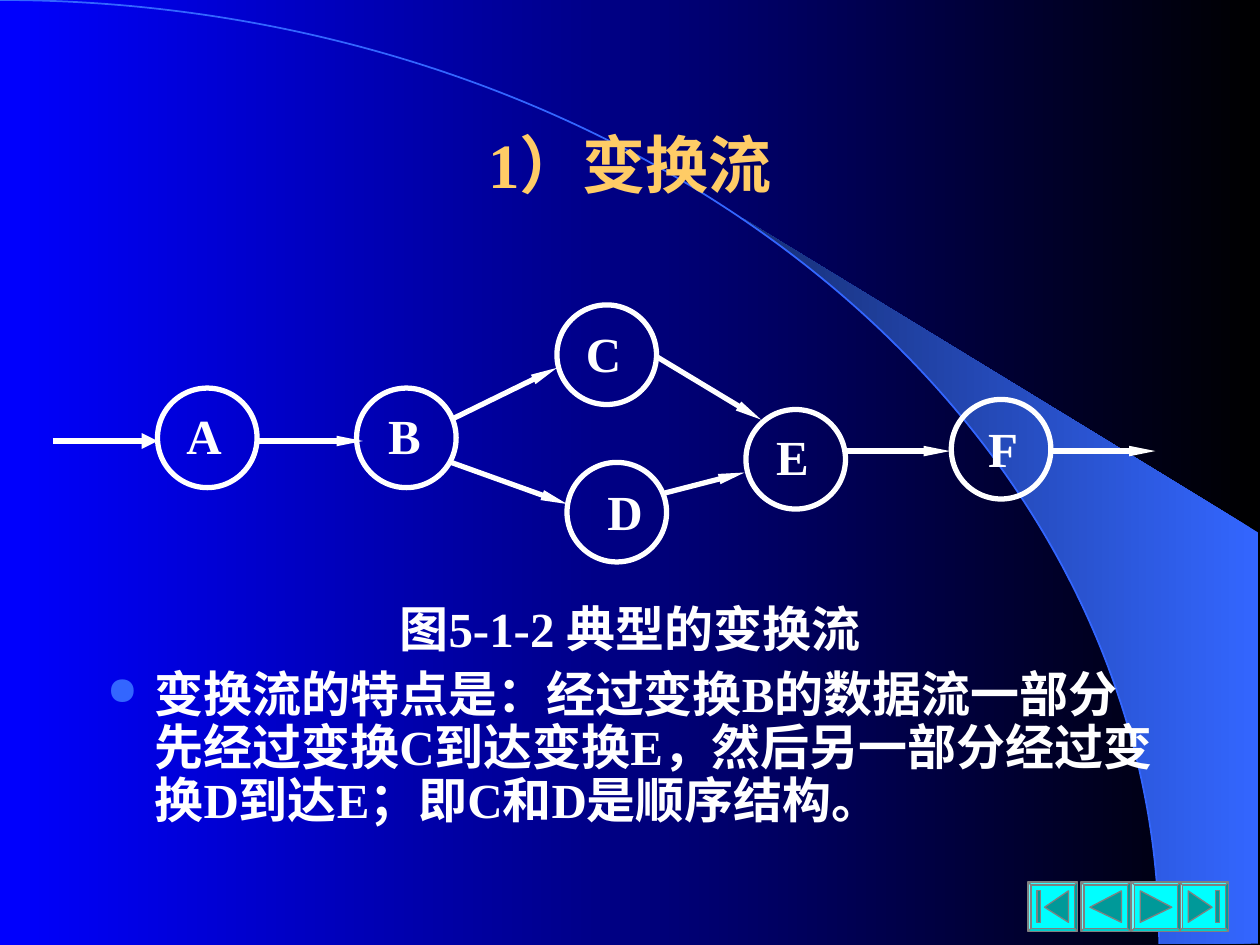
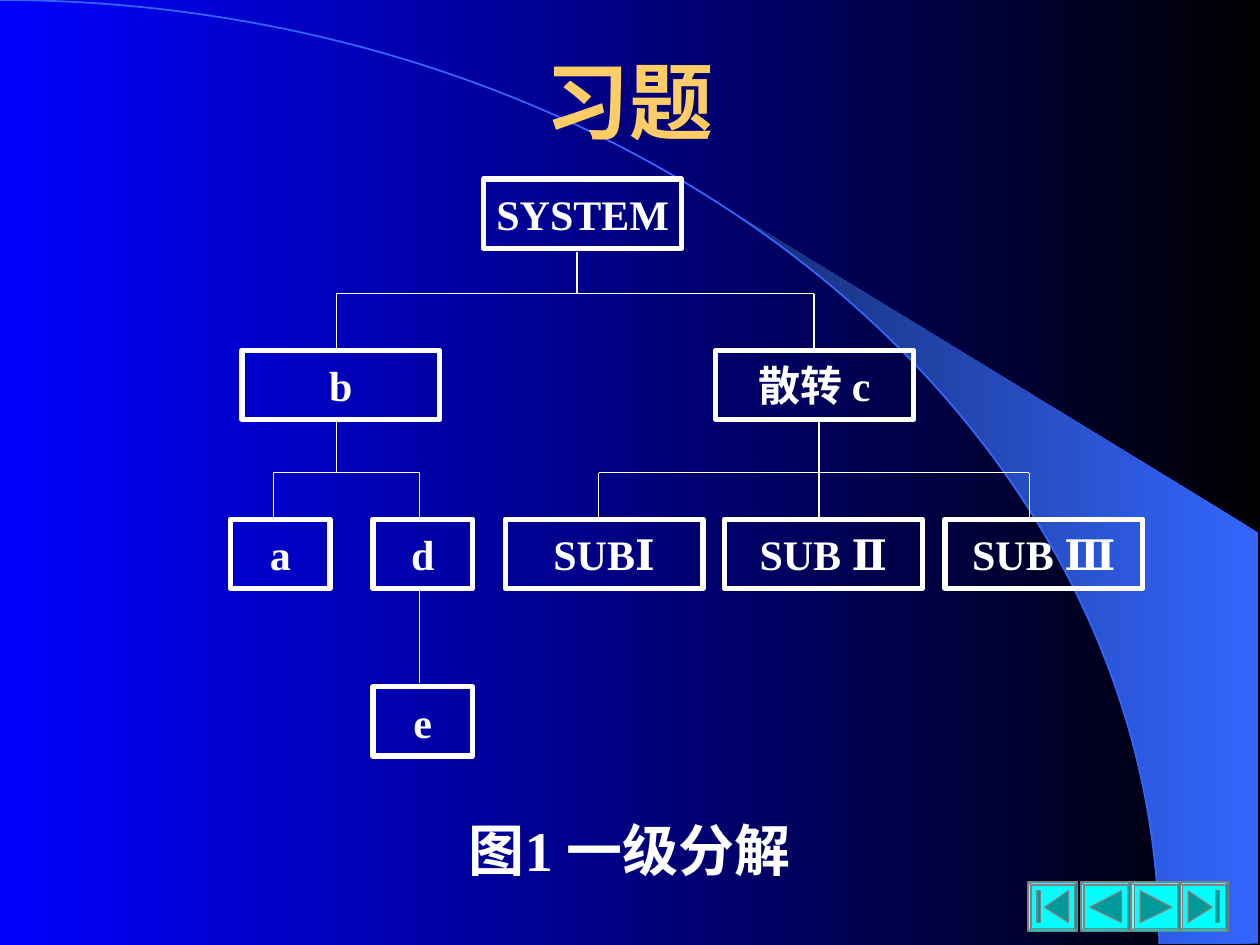
import math
from dataclasses import dataclass

from lxml import etree
from pptx import Presentation
from pptx.dml.color import RGBColor
from pptx.enum import shapes, text
from pptx.oxml.ns import qn
from pptx.util import Inches, Pt


@dataclass(frozen=True)
class Theme:
    night: str = "000000"
    blue: str = "0000FF"
    accent: str = "3366FF"
    accent_dark: str = "172F75"
    gold: str = "FFCC66"
    white: str = "FFFFFF"
    cyan: str = "00FFFF"
    teal: str = "009999"
    grey: str = "808080"
    serif: str = "Times New Roman"
    sans: str = "Arial"
    title_size: int = 36
    big_title_size: int = 48
    body_size: int = 28
    caption_size: int = 32
    node_size: int = 24
    thick: float = 3
    thin: float = 0.75


THEME = Theme()
ARC_WIDTH, ARC_HEIGHT = 9.2, 7.49
BUTTON_SIZE, BUTTON_TOP = 0.39, 7
CIRCLE_SIZE = 0.79
BOX_HEIGHT = 0.55
WIDE, NARROW = 1.57, 0.79


def rgb(color):
    return RGBColor.from_string(color)


def inches(values):
    return [Inches(value) for value in values]


def set_gradient(fill, first, last):
    fill.gradient()
    fill.gradient_angle = 180
    for stop, color in zip(fill.gradient_stops, (first, last)):
        stop.color.rgb = rgb(color)


def style_shape(shape, fill=None, line=None, width=THEME.thick):
    """Give a shape a plain fill and outline; None means there is none."""
    shape.shadow.inherit = False
    if fill:
        shape.fill.solid()
        shape.fill.fore_color.rgb = rgb(fill)
    else:
        shape.fill.background()
    if line:
        shape.line.color.rgb = rgb(line)
        shape.line.width = Pt(width)
    else:
        shape.line.fill.background()


def add_preset(slide, preset, box, **style):
    shape = slide.shapes.add_shape(preset, *inches(box))
    style_shape(shape, **style)
    return shape


def add_outline(slide, *contours):
    """Draw closed contours, given as points in inches, as one freeform."""
    builder = slide.shapes.build_freeform(*inches(contours[0][0]))
    for index, contour in enumerate(contours):
        if index:
            builder.move_to(*inches(contour[0]))
        builder.add_line_segments([inches(point) for point in contour[1:]], close=True)
    return builder.convert_to_shape()


def add_line(slide, start, end, width=THEME.thin, head=None):
    """head is the (width, length) of the arrowhead at the end."""
    line = slide.shapes.add_connector(
        shapes.MSO_CONNECTOR.STRAIGHT, *inches(start), *inches(end))
    line.line.color.rgb = rgb(THEME.white)
    line.line.width = Pt(width)
    properties = line._element.spPr
    if head:
        etree.SubElement(properties.find(qn("a:ln")), qn("a:tailEnd"),
                         type="triangle", w=head[0], len=head[1])
    etree.SubElement(properties, qn("a:effectLst"))


def write(paragraph, words, size, color=THEME.white, font=THEME.serif,
          align=text.PP_ALIGN.CENTER, **spacing):
    paragraph.alignment = align
    for name, value in spacing.items():
        setattr(paragraph, name, value)
    run = paragraph.add_run()
    run.text = words
    looks = {"size": Pt(size), "name": font, "bold": True}
    for name, value in looks.items():
        setattr(run.font, name, value)
    run.font.color.rgb = rgb(color)


def prepare_frame(shape, anchor=text.MSO_ANCHOR.MIDDLE, inset=(0, 0)):
    frame = shape.text_frame
    side, end = inches(inset)
    settings = {"word_wrap": True, "vertical_anchor": anchor,
                "margin_left": side, "margin_right": side,
                "margin_top": end, "margin_bottom": end}
    for name, value in settings.items():
        setattr(frame, name, value)
    return frame


def add_text_frame(slide, box, **layout):
    return prepare_frame(slide.shapes.add_textbox(*inches(box)), **layout)


def add_title(slide, words, top, size, font):
    frame = add_text_frame(slide, (0.75, top, 8.5, 1.25), inset=(0.1, 0.05))
    write(frame.paragraphs[0], words, size, THEME.gold, font)


def add_body(slide, top, height):
    return add_text_frame(slide, (0.75, top, 8.5, height),
                          anchor=text.MSO_ANCHOR.TOP, inset=(0.1, 0.05))


def add_bullet(paragraph):
    properties = paragraph._p.get_or_add_pPr()
    properties.set("marL", str(Inches(0.38)))
    properties.set("indent", str(-Inches(0.38)))
    color = etree.SubElement(properties, qn("a:buClr"))
    etree.SubElement(color, qn("a:srgbClr"), val=THEME.accent)
    etree.SubElement(properties, qn("a:buSzPct"), val="80000")
    etree.SubElement(properties, qn("a:buChar"), char="●")


def arc_point(degrees):
    angle = math.radians(degrees)
    return ARC_WIDTH * math.sin(angle), ARC_HEIGHT * (1 - math.cos(angle))


def add_backdrop(slide):
    """Shaded wedge at the right and the large arc that bounds it."""
    arc_edge = [arc_point(degrees) for degrees in range(40, 91, 2)]
    wedge = add_outline(slide, [(9.99, 7.49), (9.99, 4.23), (5.89, 1.73), *arc_edge])
    style_shape(wedge)
    set_gradient(wedge.fill, THEME.accent, THEME.accent_dark)
    add_preset(slide, shapes.MSO_SHAPE.ARC,
               (-ARC_WIDTH, 0, 2 * ARC_WIDTH, 2 * ARC_HEIGHT),
               line=THEME.accent, width=1)


def add_button(slide, left, forward, bar):
    """Bevelled button with a triangle, and a bar at the tip if wanted."""
    bevel = add_preset(slide, shapes.MSO_SHAPE.BEVEL,
                       (left, BUTTON_TOP, BUTTON_SIZE, BUTTON_SIZE),
                       fill=THEME.cyan, line=THEME.grey, width=THEME.thin)
    bevel.adjustments[0] = 0.06
    tip = 0.13 if bar else 0.07
    contours = [[(tip, 0.2), (0.32, 0.07), (0.32, 0.32)]]
    if bar:
        contours.append([(0.07, 0.07), (0.1, 0.07), (0.1, 0.32), (0.07, 0.32)])
    icon = add_outline(slide, *[
        [(left + (BUTTON_SIZE - x if forward else x), BUTTON_TOP + y) for x, y in contour]
        for contour in contours])
    style_shape(icon, fill=THEME.teal, line=THEME.grey, width=THEME.thin)


def add_navigation(slide):
    for left, forward, bar in ((8.16, False, True), (9.36, True, True),
                               (8.58, False, False), (8.98, True, False)):
        add_button(slide, left, forward, bar)


def add_base_slide(deck):
    slide = deck.slides.add_slide(deck.slide_layouts[6])
    add_backdrop(slide)
    return slide


def add_process(slide, letter, circle, label):
    """A circle and its letter, each placed by its left and top."""
    add_preset(slide, shapes.MSO_SHAPE.OVAL, (*circle, CIRCLE_SIZE, CIRCLE_SIZE),
               line=THEME.white)
    frame = add_text_frame(slide, (*label, 0.58, 0.47))
    write(frame.paragraphs[0], letter, THEME.body_size)


def add_module(slide, name, left, top, width):
    box = add_preset(slide, shapes.MSO_SHAPE.RECTANGLE, (left, top, width, BOX_HEIGHT),
                     line=THEME.white)
    write(prepare_frame(box).paragraphs[0], name, THEME.node_size)


def add_branch(slide, stem, children, top, bus, bottom):
    """Stem from a parent to a level line, and a drop to each child."""
    add_line(slide, (min(children), bus), (max(children), bus))
    add_line(slide, (stem, top), (stem, bus))
    for child in children:
        add_line(slide, (child, bus), (child, bottom))


def build_transform_flow(deck):
    slide = add_base_slide(deck)
    add_title(slide, "1）变换流", 0.67, THEME.title_size, THEME.serif)

    body = add_body(slide, 4.75, 1.92)
    spacing = {"line_spacing": 0.9, "space_before": Pt(7)}
    write(body.paragraphs[0], "图5-1-2 典型的变换流", THEME.body_size, **spacing)
    feature = body.add_paragraph()
    write(feature,
          "变换流的特点是：经过变换B的数据流一部分先经过变换C到达变换E，"
          "然后另一部分经过变换D到达E；即C和D是顺序结构。",
          THEME.body_size, align=text.PP_ALIGN.LEFT, **spacing)
    add_bullet(feature)
    add_navigation(slide)

    processes = {
        "A": ((1.25, 3.08), (1.33, 3.22)),
        "B": ((2.83, 3.08), (2.92, 3.22)),
        "C": ((4.42, 2.42), (4.5, 2.57)),
        "D": ((4.5, 3.67), (4.67, 3.82)),
        "E": ((5.92, 3.25), (6, 3.38)),
        "F": ((7.55, 3.17), (7.67, 3.32)),
    }
    for letter, (circle, label) in processes.items():
        add_process(slide, letter, circle, label)

    add_line(slide, (0.42, 3.5), (1.25, 3.5), THEME.thick, ("med", "med"))
    flows = (
        ((2.04, 3.5), (2.88, 3.5)),
        ((3.58, 3.33), (4.42, 2.92)),
        ((3.58, 3.67), (4.5, 4)),
        ((5.21, 2.83), (6.04, 3.33)),
        ((5.25, 3.92), (5.91, 3.75)),
        ((6.71, 3.58), (7.54, 3.58)),
        ((8.33, 3.58), (9.17, 3.58)),
    )
    for start, end in flows:
        add_line(slide, start, end, THEME.thick, ("sm", "lg"))


def build_exercise(deck):
    slide = add_base_slide(deck)
    add_title(slide, "习题", 0.17, THEME.big_title_size, THEME.sans)
    caption = add_body(slide, 6.42, 0.67)
    write(caption.paragraphs[0], "图1 一级分解", THEME.caption_size, space_before=Pt(8))
    add_navigation(slide)

    levels = {
        1.42: (("SYSTEM", 3.84, WIDE),),
        2.78: (("b", 1.92, WIDE), ("散转 c", 5.68, WIDE)),
        4.12: (("a", 1.83, NARROW), ("d", 2.96, NARROW), ("SUBⅠ", 4.01, WIDE),
               ("SUB Ⅱ", 5.75, WIDE), ("SUB Ⅲ", 7.5, WIDE)),
        5.45: (("e", 2.96, NARROW),),
    }
    for top, modules in levels.items():
        for name, left, width in modules:
            add_module(slide, name, left, top, width)

    add_branch(slide, 4.58, (2.67, 6.46), 2, 2.33, 2.79)
    add_branch(slide, 2.67, (2.17, 3.33), 3.33, 3.75, 4.13)
    add_branch(slide, 6.5, (4.75, 6.5, 8.17), 3.33, 3.75, 4.1)
    add_line(slide, (3.33, 4.67), (3.33, 5.42))


def main():
    deck = Presentation()
    deck.slide_width, deck.slide_height = inches((10, 7.5))
    set_gradient(deck.slide_master.background.fill, THEME.night, THEME.blue)
    build_transform_flow(deck)
    build_exercise(deck)
    deck.save("out.pptx")


if __name__ == "__main__":
    main()
